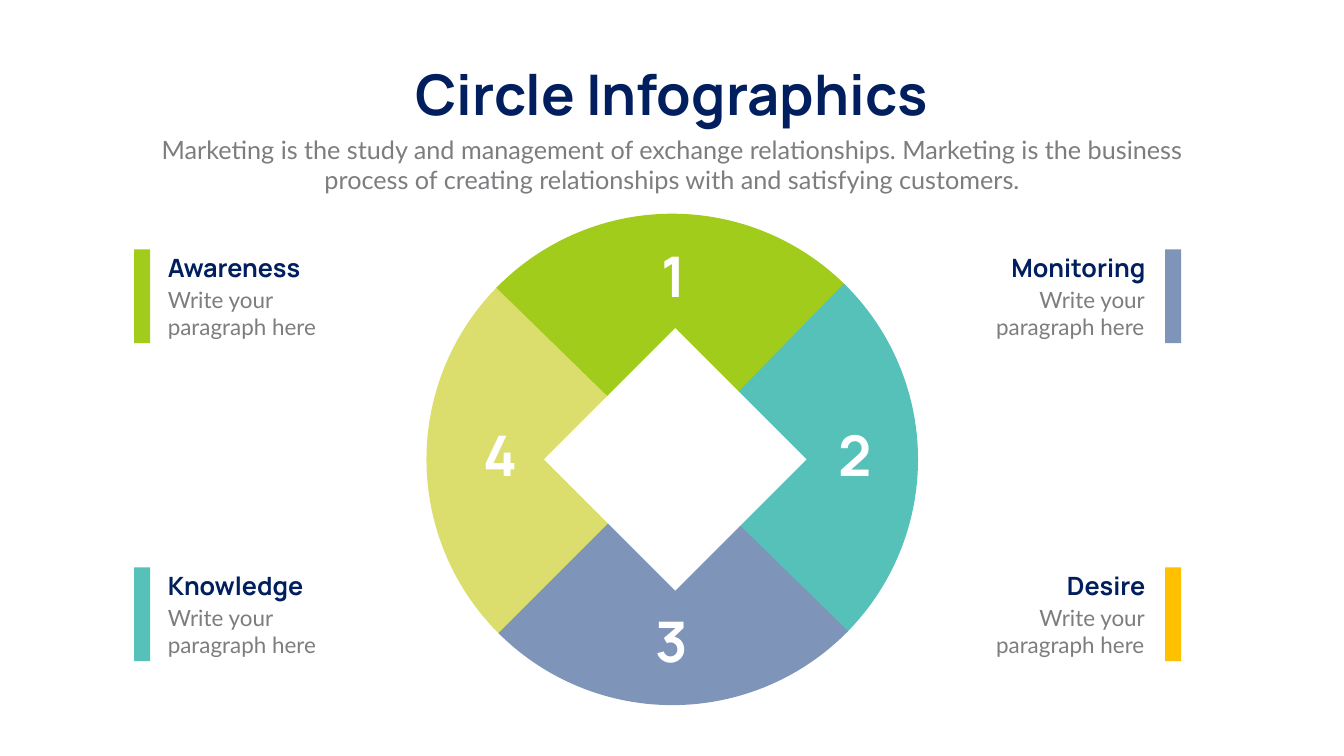
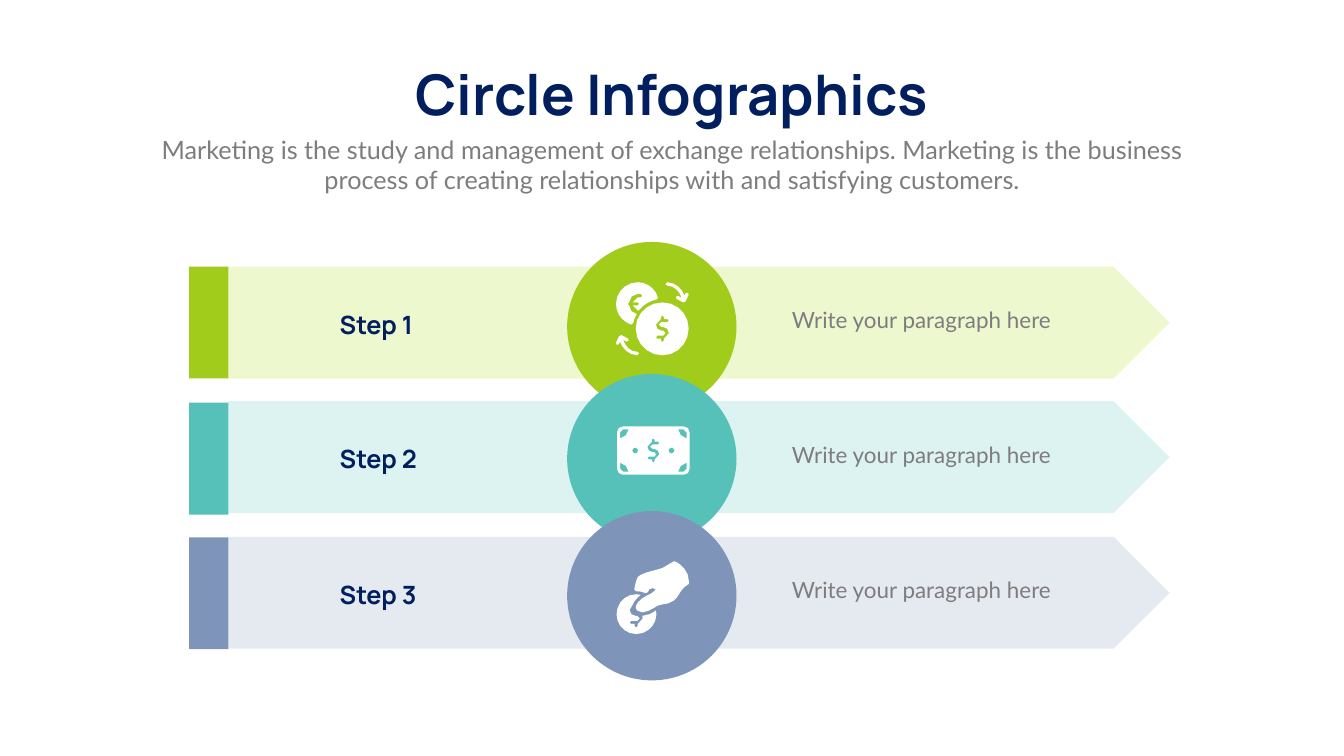
from math import dist

from pptx import Presentation
from pptx.dml.color import RGBColor
from pptx.enum.shapes import MSO_SHAPE as Shape
from pptx.enum.text import MSO_AUTO_SIZE as AutoSize, PP_ALIGN as Align
from pptx.util import Inches, Pt

COLORS = {
    "navy": "011F5E", "gray": "7E7C7F", "white": "FFFFFF",
    "green": "A1CC1C", "teal": "56C1B8", "blue": "7E94B9",
    "lime": "DBDE6C", "amber": "FFC000",
    "pale green": "EEF8CE", "pale teal": "DDF3F1", "pale blue": "E5EAF1",
}
HEADING_FONT, BODY_FONT = "Manrope", "Lato"

TITLE = "Circle Infographics"
SUBTITLE = ("Marketing is the study and management of exchange relationships. "
            "Marketing is the business process of creating relationships "
            "with and satisfying customers.")
PLACEHOLDER = "Write your paragraph here"

# Slide 1: colour and rotation of each quarter, back to front
QUARTERS = [("lime", 315), ("green", 45), ("teal", 135), ("blue", 225)]
# number, left, top, width
NUMBERS = [("1", 13.02, 4.75, 0.62), ("2", 16.53, 8.3, 0.84),
           ("3", 12.89, 11.99, 0.88), ("4", 9.44, 8.3, 0.96)]
# heading, colour, side, top
TOPICS = [("Awareness", "green", "left", 4.95),
          ("Knowledge", "teal", "left", 11.26),
          ("Monitoring", "blue", "right", 4.95),
          ("Desire", "amber", "right", 11.26)]
# side: left of the bar, left of the text, alignment
SIDES = {"left": (2.66, 3.23, Align.LEFT), "right": (23.11, 19.59, Align.RIGHT)}

# Slide 2: heading, colour, tops of arrow, end strip and circle
STEPS = [("Step 1", "green", 5.29, 5.29, 4.8),
         ("Step 2", "teal", 7.96, 7.99, 7.42),
         ("Step 3", "blue", 10.65, 10.66, 10.14)]

# Outlines in hundredths of an inch: a start point, then segments divided
# by commas; two numbers make a line, six make a Bezier curve.
COIN = ("92 40, 63 40 39 63 39 92, 39 121 63 145 92 145, "
        "121 145 144 121 144 92, 144 63 121 40 92 40")
DOLLAR = ("90 89, 94 89, 100 89 105 94 105 101, 105 106 101 111 95 112, 95 115, "
          "92 119, 89 115, 89 112, 82 112, 79 109, 82 106, 94 106, "
          "98 101, 94 96, 90 96, 84 96 79 91 79 84, 79 78 83 74 89 73, "
          "89 69, 92 66, 95 69, 95 73, 102 73, 105 76, 102 79, 90 79, 85 84, 90 89")
EURO_COIN = ("30 84, 34 81, 35 75 38 68 41 63, 33 62 26 55 26 46, "
             "23 43, 26 40, 26 31 34 23 43 23, 49 23, 52 27, 49 30, "
             "43 30, 37 30 33 34 33 40, 43 40, 46 43, 43 46, 33 46, "
             "33 52 37 56 43 56, 45 56, 54 45 66 37 81 34, 83 30, "
             "78 12 61 0 43 0, 19 0 0 20 0 43, 0 62 12 78 30 84")
SWAP_ARROW = ("102 7, 116 7 126 18 130 31, 123 27, 119 29, 120 33, 133 40, "
              "138 38, 144 25, 143 21, 138 22, 136 27, 131 13 119 1 102 0, "
              "98 4, 102 7")
NOTE = ("132 0, 12 0, 5 0 0 5 0 12, 0 84, 0 91 5 96 12 96, 132 96, "
        "139 96 144 91 144 84, 144 12, 144 5 139 0 132 0")
NOTE_CORNER = "6 24, 6 12, 12 6, 23 6, 22 15 15 22 6 24"
NOTE_DOT = "36 54, 32 52, 30 48, 32 44, 36 42, 40 44, 42 48, 40 52, 36 54"
HELD_COIN = ("74 100, 71 102 61 108 51 108, 52 113, 52 119 48 123 42 124, "
             "42 128, 39 131, 36 128, 36 124, 29 124, 26 121, 29 118, 41 118, "
             "46 113, 41 108, 38 108, 31 108 26 103 26 96, "
             "26 92 28 88 32 86, 34 79 42 71 48 66, 39 65, "
             "17 65 0 83 0 105, 0 126 17 144 39 144, 61 144 79 126 79 105, "
             "78 97, 74 100")
HAND = ("116 0, 113 0, 91 13, 81 16, 64 20 48 25 43 30, 42 31 39 35 35 55, "
        "38 59, 46 59 52 60 58 63, 62 61, 65 55, 72 53, 78 56, "
        "74 61 65 66 58 69, 52 71 40 81 38 89, 40 97, 43 100 47 101 51 101, "
        "59 101 67 96 71 94, 78 89 86 85 92 85, 99 84 104 84 113 78, "
        "118 74 121 70 124 65, 128 58 132 51 143 45, 144 42, 144 11 116 0 116 0")

# Placement of an outline: x shift, y shift, x scale, y scale
SAME = (0, 0, 1, 1)
FLIP_X, FLIP_Y = (144, 0, -1, 1), (0, 96, 1, -1)
# left, top, shapes; each shape joins its outlines, inner ones being holes
ICONS = [
    (12.22, 5.6, [[(COIN, SAME), (DOLLAR, SAME)], [(EURO_COIN, SAME)],
                  [(SWAP_ARROW, SAME)], [(SWAP_ARROW, (144, 145, -1, -1))]]),
    (12.24, 8.46, [[(NOTE, SAME), (DOLLAR, (-11.7, -36.2, 0.91, 0.91)),
                    (NOTE_DOT, SAME), (NOTE_DOT, FLIP_X)]
                   + [(NOTE_CORNER, place)
                      for place in (SAME, FLIP_X, FLIP_Y, (144, 96, -1, -1))]]),
    (12.23, 11.14, [[(HELD_COIN, SAME)], [(HAND, SAME)]]),
]


def rgb(color):
    return RGBColor.from_string(COLORS[color])


def paint(shape, color):
    shape.shadow.inherit = False
    shape.fill.solid()
    shape.fill.fore_color.rgb = rgb(color)
    shape.line.fill.background()


def add_block(slide, kind, left, top, width, height, color):
    block = slide.shapes.add_shape(
        kind, Inches(left), Inches(top), Inches(width), Inches(height))
    paint(block, color)
    return block


def add_text(slide, text, left, top, width, height, size, color="gray",
             heading=False, align=Align.LEFT, wrap=True):
    frame = slide.shapes.add_textbox(
        Inches(left), Inches(top), Inches(width), Inches(height)).text_frame
    frame.word_wrap = wrap
    frame.auto_size = AutoSize.SHAPE_TO_FIT_TEXT
    frame.text = text
    paragraph = frame.paragraphs[0]
    paragraph.alignment = align
    font = paragraph.runs[0].font
    font.name = HEADING_FONT if heading else BODY_FONT
    font.size = Pt(size)
    font.bold = heading
    font.color.rgb = rgb(color)


def add_display(slide, text, left, top, width, color):
    """Add a large centred heading on one line."""
    add_text(slide, text, left, top, width, 1.45, 80, color,
             heading=True, align=Align.CENTER, wrap=False)


def add_header(slide):
    add_display(slide, TITLE, 7.74, 1.14, 11.17, "navy")
    add_text(slide, SUBTITLE, 2.92, 2.61, 20.82, 1.31, 36, align=Align.CENTER)


def trace(outline, placement):
    """Turn an outline into points in EMU; longer curves get more points."""
    dx, dy, scale_x, scale_y = placement
    points = []
    for segment in outline.split(","):
        numbers = [float(n) for n in segment.split()]
        ends = list(zip(numbers[::2], numbers[1::2]))
        if len(ends) == 1:
            points += ends
            continue
        corners = [points[-1]] + ends
        steps = max(1, min(5, round(dist(corners[0], corners[-1]) / 10)))
        for step in range(1, steps + 1):
            t = step / steps
            weights = ((1 - t) ** 3, 3 * t * (1 - t) ** 2, 3 * t * t * (1 - t), t ** 3)
            points.append(tuple(sum(w * corner[axis] for w, corner in zip(weights, corners))
                                for axis in (0, 1)))
    return [(Inches((dx + scale_x * x) / 100), Inches((dy + scale_y * y) / 100))
            for x, y in points[:-1]]


def add_icon(slide, left, top, shapes):
    for outlines in shapes:
        contours = [trace(*outline) for outline in outlines]
        builder = slide.shapes.build_freeform(*contours[0][0], scale=1.0)
        for contour in contours:
            if contour is not contours[0]:
                builder.move_to(*contour[0])
            builder.add_line_segments(contour[1:], close=True)
        paint(builder.convert_to_shape(Inches(left), Inches(top)), "white")


def build_wheel(slide):
    add_header(slide)
    for color, rotation in QUARTERS:
        quarter = add_block(slide, Shape.PIE, 8.46, 4.24, 9.75, 9.75, color)
        quarter.adjustments[0] = 107.59
        quarter.adjustments[1] = 162
        quarter.rotation = rotation
    add_block(slide, Shape.DIAMOND, 10.79, 6.51, 5.21, 5.21, "white")
    for number, left, top, width in NUMBERS:
        add_display(slide, number, left, top, width, "white")
    for heading, color, side, top in TOPICS:
        bar_left, text_left, align = SIDES[side]
        add_text(slide, PLACEHOLDER, text_left, top + 0.68, 3.21, 1.18, 32, align=align)
        add_text(slide, heading, text_left, top, 3.23, 0.71, 36, "navy",
                 heading=True, align=align)
        add_block(slide, Shape.RECTANGLE, bar_left, top, 0.32, 1.86, color)


def build_steps(slide):
    add_header(slide)
    for heading, color, arrow_top, strip_top, _ in STEPS:
        add_block(slide, Shape.PENTAGON, 4.53, arrow_top, 18.67, 2.22, "pale " + color)
        add_block(slide, Shape.RECTANGLE, 3.75, strip_top, 0.78, 2.22, color)
        add_text(slide, PLACEHOLDER, 15.61, arrow_top + 0.74, 5.72, 0.64, 32)
        add_text(slide, heading, 6.64, arrow_top + 0.79, 3.23, 0.71, 36, "navy",
                 heading=True)
    for _, color, _, _, circle_top in STEPS:
        add_block(slide, Shape.OVAL, 11.25, circle_top, 3.36, 3.36, color)
    for icon in ICONS:
        add_icon(slide, *icon)


def main():
    deck = Presentation()
    deck.slide_width, deck.slide_height = Inches(26.66), Inches(15)
    blank = deck.slide_layouts[6]
    for build in (build_wheel, build_steps):
        build(deck.slides.add_slide(blank))
    deck.save("out.pptx")


if __name__ == "__main__":
    main()
